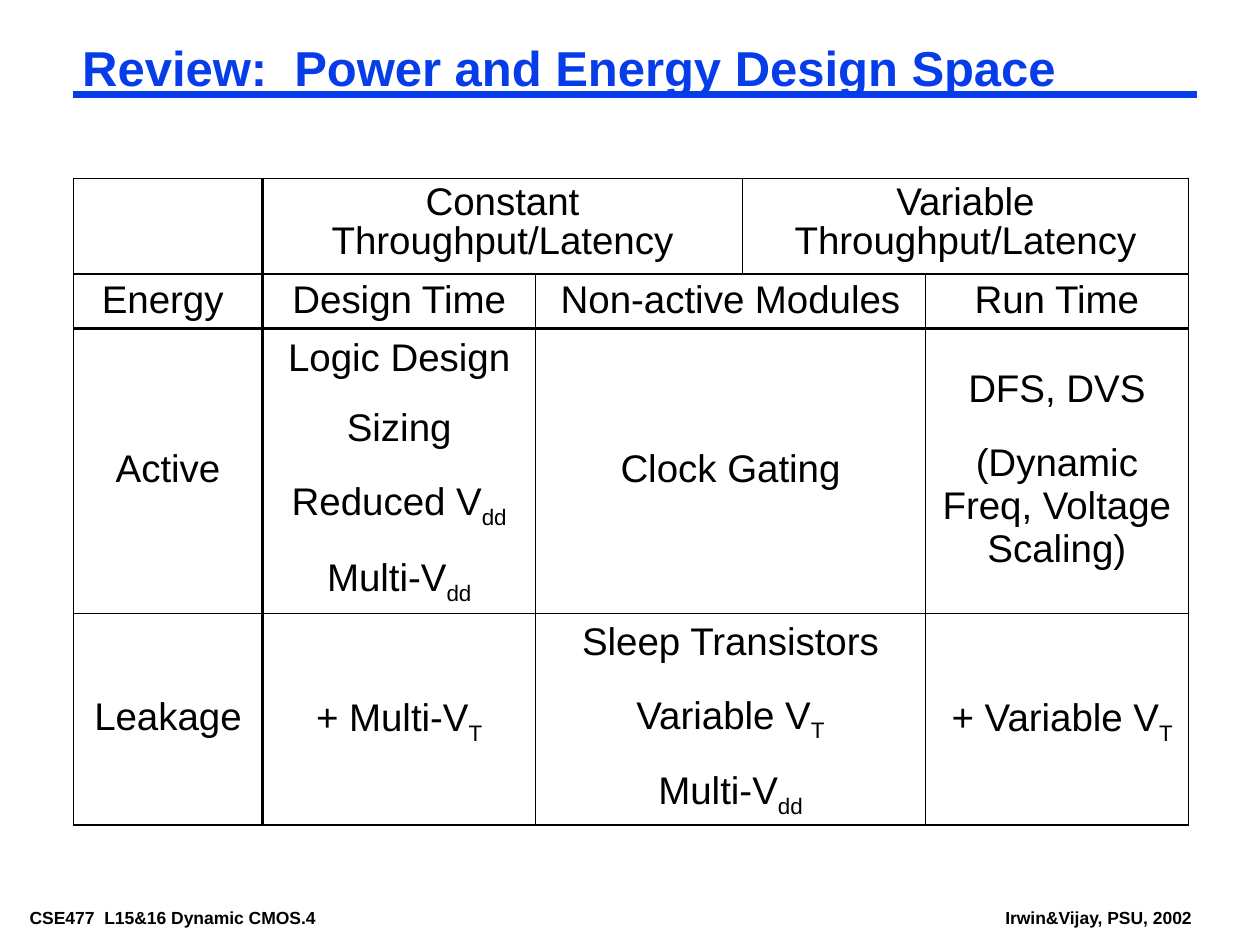
"""Build the review slide on the power and energy design space."""
from lxml.etree import SubElement
from pptx import Presentation
from pptx.dml.color import RGBColor
from pptx.enum.shapes import MSO_CONNECTOR
from pptx.enum.text import MSO_ANCHOR, MSO_AUTO_SIZE, PP_ALIGN
from pptx.oxml.ns import qn
from pptx.util import Pt

COLORS = {"ink": "000000", "blue": "063DE8"}
COLS = [108, 156.2, 118.1, 104.4, 150.5]
ROWS = [54.7, 31, 162.7, 121]
UPRIGHT = [1.08, 1.47, 0.45, 0.45, 0.45, 1.08]
LEVEL = [1.08, 1.08, 1.47, 0.45, 1.08]
LOOSE = "(Dynamic Freq, Voltage Scaling)"
CELLS = [
    (0, 0, 1, []),
    (0, 1, 2, ["Constant Throughput/Latency"]),
    (0, 3, 2, ["Variable Throughput/Latency"]),
    (1, 0, 1, ["Energy "]),
    (1, 1, 1, ["Design Time"]),
    (1, 2, 2, ["Non-active Modules"]),
    (1, 4, 1, ["Run Time"]),
    (2, 0, 1, ["Active"]),
    (2, 1, 1, ["Logic Design", "Sizing", "Reduced V_dd", "Multi-V_dd"]),
    (2, 2, 2, ["Clock Gating"]),
    (2, 4, 1, ["DFS, DVS", LOOSE]),
    (3, 0, 1, ["Leakage"]),
    (3, 1, 1, ["+ Multi-V_T"]),
    (3, 2, 2, ["Sleep Transistors", "Variable V_T", "Multi-V_dd"]),
    (3, 4, 1, [" + Variable V_T"]),
]


class Deck:
    """Hold the style and the current slide."""

    def __init__(self):
        self.prs = Presentation()
        self.prs.slide_width, self.prs.slide_height = Pt(720), Pt(540)
        self.slide = self.prs.slides.add_slide(self.prs.slide_layouts[5])
        self.face = "Arial"

    def color(self, name):
        return RGBColor.from_string(COLORS[name])

    def run(self, para, text, size, color="ink", bold=False, sub=False):
        run = para.add_run()
        run.text = text
        font = run.font
        font.name, font.size, font.bold = self.face, Pt(size), bold
        font.color.rgb = self.color(color)
        if sub:
            run._r.get_or_add_rPr().set("baseline", "-25000")

    def frame(self, shape, wrap):
        frame = shape.text_frame
        frame.margin_left = frame.margin_right = Pt(5)
        frame.margin_top = frame.margin_bottom = Pt(2.2)
        frame.word_wrap = wrap
        frame.auto_size = MSO_AUTO_SIZE.SHAPE_TO_FIT_TEXT
        frame.vertical_anchor = MSO_ANCHOR.TOP
        return frame.paragraphs[0]

    def title(self, text, left, top, width, height):
        shape = self.slide.shapes.title
        shape.left, shape.top = Pt(left), Pt(top)
        shape.width, shape.height = Pt(width), Pt(height)
        para = self.frame(shape, True)
        para.alignment, para.line_spacing = PP_ALIGN.LEFT, 0.87
        self.run(para, text, 28, "blue", True)

    def note(self, text, left, top, width, height):
        box = self.slide.shapes.add_textbox(Pt(left), Pt(top), Pt(width), Pt(height))
        self.run(self.frame(box, False), text, 10, bold=True)

    def rule(self, left, right, top, width):
        line = self.slide.shapes.add_connector(
            MSO_CONNECTOR.STRAIGHT, Pt(left), Pt(top), Pt(right), Pt(top))
        line.line.color.rgb, line.line.width = self.color("blue"), Pt(width)
        SubElement(line._element.spPr, qn("a:effectLst"))

    def border(self, cell, side, width):
        edge = SubElement(cell._tc.get_or_add_tcPr(), qn("a:ln" + side), w=str(Pt(width)))
        fill = SubElement(edge, qn("a:solidFill"))
        SubElement(fill, qn("a:srgbClr"), val=COLORS["ink"])

    def fill(self, cell, lines):
        frame = cell.text_frame
        for i, line in enumerate(lines):
            para = frame.add_paragraph() if i else frame.paragraphs[0]
            para.alignment = PP_ALIGN.CENTER
            para.line_spacing = 1.0 if line == LOOSE else 0.9
            para.space_before = Pt(17.9 if i else 0)
            base, _, sub = line.partition("_")
            self.run(para, base, 22)
            if sub:
                self.run(para, sub, 22, sub=True)

    def table(self, left, top):
        shape = self.slide.shapes.add_table(
            len(ROWS), len(COLS), Pt(left), Pt(top), Pt(sum(COLS)), Pt(sum(ROWS)))
        table = shape.table
        table.first_row = table.horz_banding = False
        for col, width in zip(table.columns, COLS):
            col.width = Pt(width)
        for row, height in zip(table.rows, ROWS):
            row.height = Pt(height)
        for row, col, span, lines in CELLS:
            cell = table.cell(row, col)
            if span > 1:
                cell.merge(table.cell(row, col + span - 1))
            cell.vertical_anchor = MSO_ANCHOR.MIDDLE if row else MSO_ANCHOR.TOP
            self.border(cell, "L", UPRIGHT[col])
            self.border(cell, "R", UPRIGHT[col + span])
            self.border(cell, "T", LEVEL[row])
            self.border(cell, "B", LEVEL[row + 1])
            self.fill(cell, lines)
        for cell in table.iter_cells():
            cell.fill.background()


def main():
    deck = Deck()
    deck.note("CSE477  L15&16 Dynamic CMOS.4", 12, 516, 216, 16)
    deck.note("Irwin&Vijay, PSU, 2002", 569.5, 516, 117.4, 16)
    deck.rule(42, 684, 54, 4.5)
    deck.title("Review:  Power and Energy Design Space", 42, 24, 642, 33)
    deck.table(42, 102)
    deck.prs.save("out.pptx")


if __name__ == "__main__":
    main()
